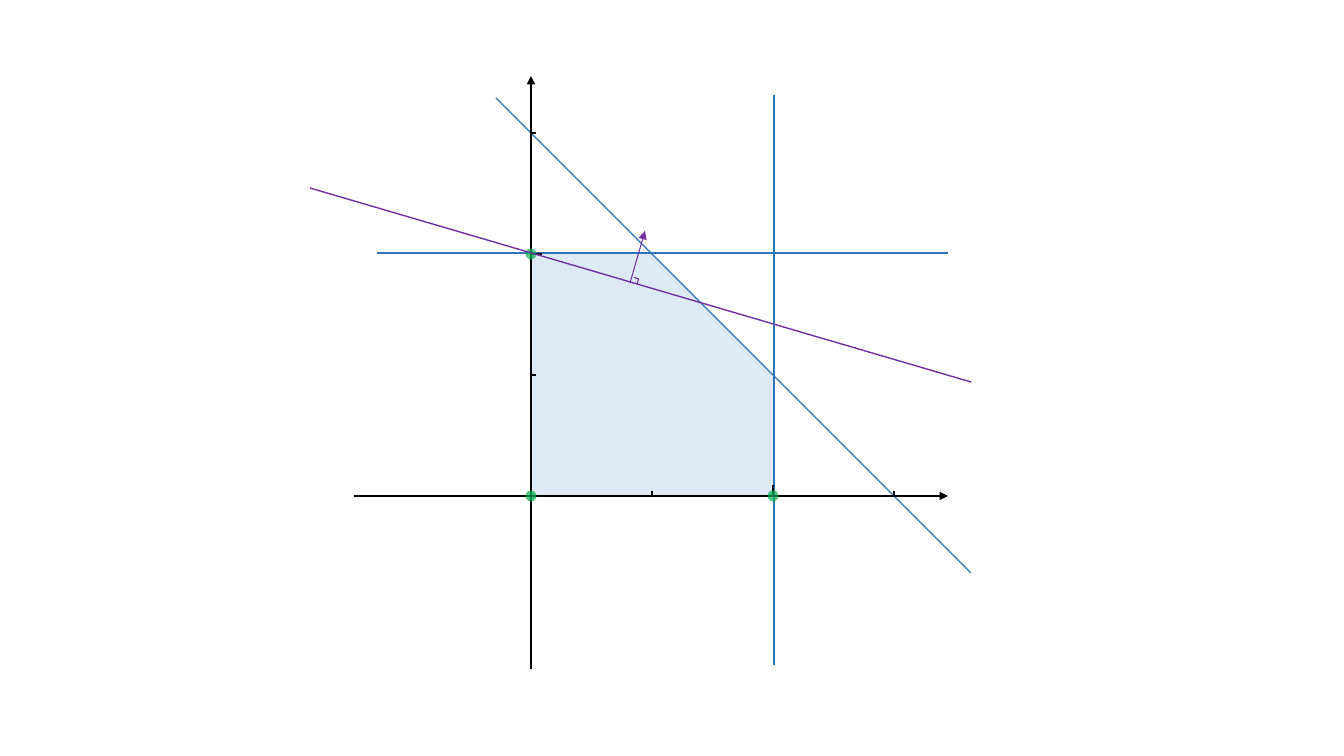
from lxml import etree
from pptx import Presentation
from pptx import util as u
from pptx.dml.color import RGBColor
from pptx.enum import shapes
from pptx.oxml.ns import qn

SCALE = 914400 / 100.8
BLUE, BLACK, PURPLE, GREEN = "2E75B6", "000000", "7030A0", "00B050"
ORIGIN_X, ORIGIN_Y, UNIT = 531, 496, 121
DOT = 11

CONSTRAINTS = [(496, 98, 971, 573), (774, 95, 774, 665), (377, 253, 948, 253)]
AXES = [(354, 496, 948, 496), (531, 669, 531, 76)]
TICK_LENGTHS = [(1, 6), (2, 12), (3, 6)]
VERTICES = [(0, 0), (2, 0), (0, 2)]
OBJECTIVE = (310, 188, 971, 382)
GRADIENT = (630, 283, 645, 231)


def px(value):
    return u.Emu(round(value * SCALE))


def color(value):
    return RGBColor.from_string(value)


def add_line(ends, stroke, width=1, arrow=False):
    line = plot.add_connector(shapes.MSO_CONNECTOR.STRAIGHT, *map(px, ends))
    line.line.color.rgb = color(stroke)
    line.line.width = u.Pt(width)
    properties = line._element.spPr
    if arrow:
        etree.SubElement(properties.find(qn("a:ln")), qn("a:tailEnd"), type="triangle")
    etree.SubElement(properties, qn("a:effectLst"))


def add_area(kind, frame, fill, opacity=100, turn=0, adjustments=()):
    area = plot.add_shape(kind, *map(px, frame))
    area.shadow.inherit = False
    area.fill.solid()
    area.fill.fore_color.rgb = color(fill)
    area.line.fill.background()
    area.rotation = turn
    for index, value in enumerate(adjustments):
        area.adjustments[index] = value
    if opacity < 100:
        tone = area._element.spPr.find(qn("a:solidFill"))[0]
        etree.SubElement(tone, qn("a:alpha"), val=str(opacity * 1000))
    return area


deck = Presentation()
deck.slide_width, deck.slide_height = px(1344), px(756)
page = deck.slides.add_slide(deck.slide_layouts[6])
plot = page.shapes.add_group_shape().shapes
KIND = shapes.MSO_SHAPE

add_area(KIND.RECTANGLE, (532, 253, 2 * UNIT, 2 * UNIT), "BDD7EE", 50)
add_area(KIND.ISOSCELES_TRIANGLE, (652, 254, UNIT, UNIT), "FFFFFF", turn=180, adjustments=[0])

for ends in CONSTRAINTS:
    add_line(ends, BLUE)
for ends in AXES:
    add_line(ends, BLACK, 1.5, True)
for step, length in TICK_LENGTHS:
    x, y = ORIGIN_X + step * UNIT, ORIGIN_Y - step * UNIT
    add_line((x, ORIGIN_Y + 1 - length, x, ORIGIN_Y + 1), BLACK)
    add_line((ORIGIN_X - 1, y, ORIGIN_X - 1 + length, y), BLACK)
for across, up in VERTICES:
    x, y = ORIGIN_X + across * UNIT, ORIGIN_Y - up * UNIT
    add_area(KIND.OVAL, (x - DOT / 2, y - DOT / 2, DOT, DOT), GREEN, 70)

add_line(OBJECTIVE, PURPLE)
add_line(GRADIENT, PURPLE, 0.75, True)
corner = KIND.from_xml("corner")
right_angle = add_area(corner, (633, 278, 5, 5), "C00000", turn=200.2, adjustments=[0, 0])
right_angle.line.color.rgb = color(PURPLE)
right_angle.line.width = u.Pt(0.75)

deck.save("out.pptx")
